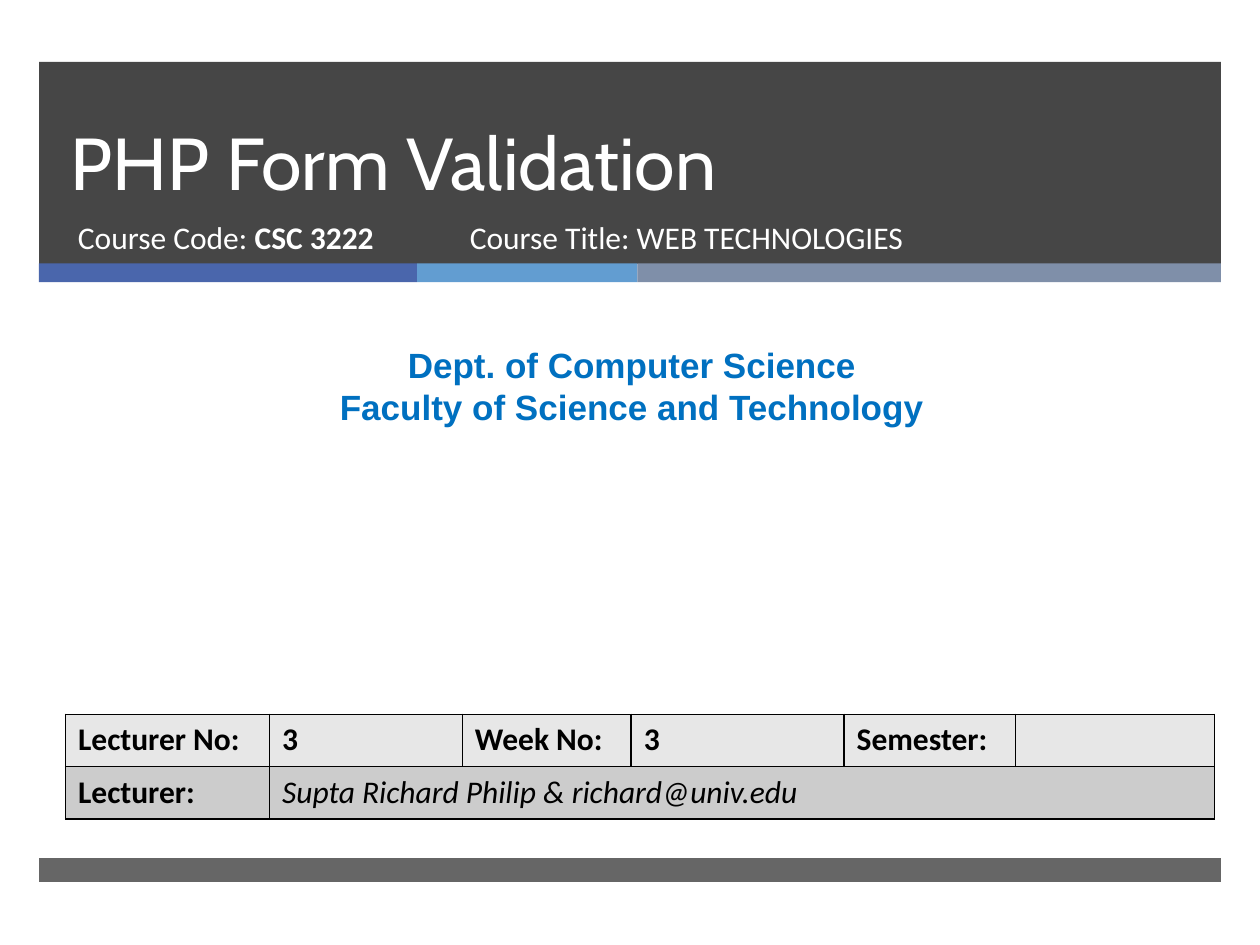
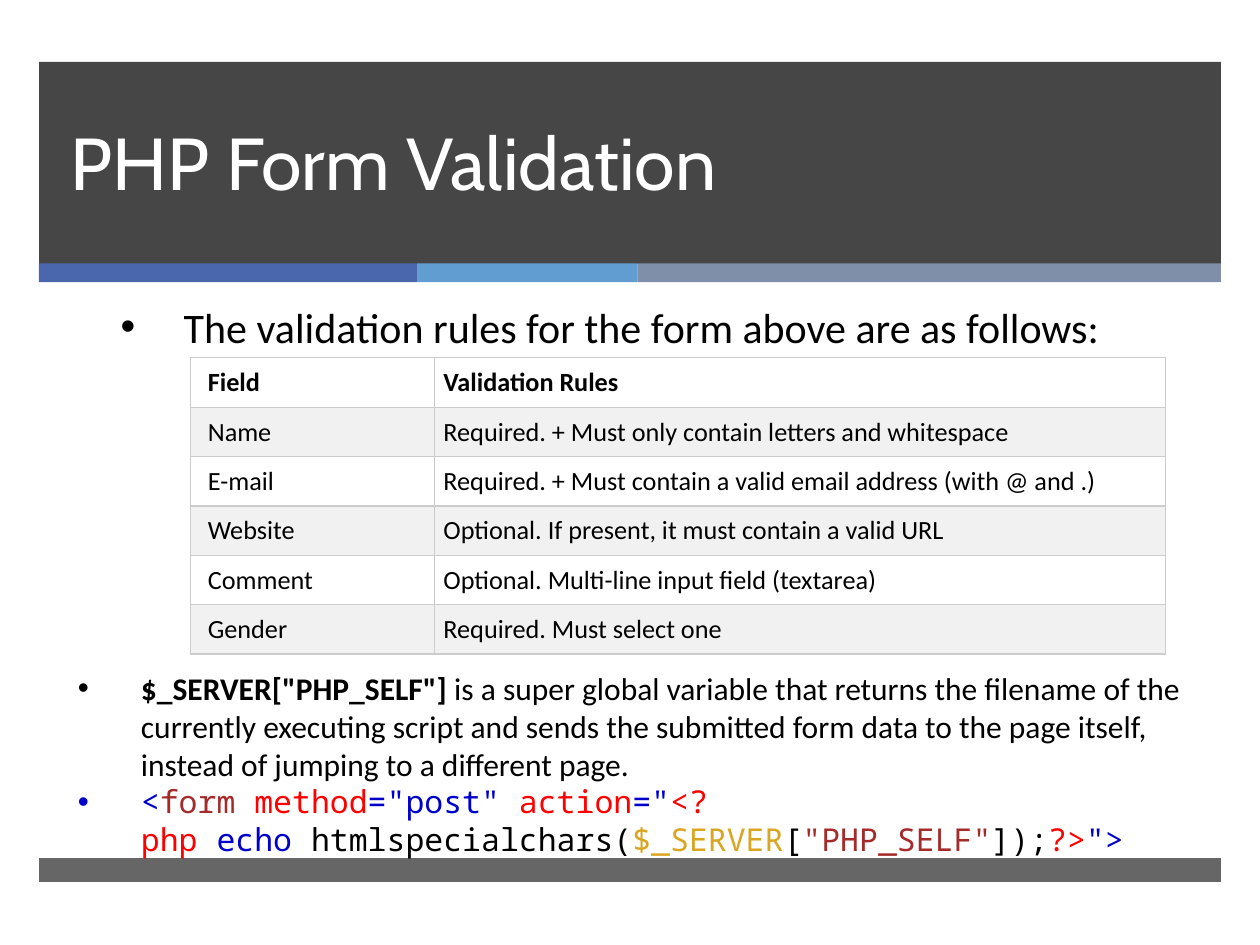
from pptx import Presentation
from pptx.dml.color import RGBColor
from pptx.enum.shapes import MSO_SHAPE
from pptx.enum.text import MSO_ANCHOR, PP_ALIGN
from pptx.oxml.ns import qn
from pptx.util import Inches, Pt
from lxml.etree import SubElement

COLORS = {
    "band": "262626", "blue": "4A66AC", "sky": "629DD1", "slate": "7F8FA9",
    "white": "FFFFFF", "black": "000000", "heading": "0070C0",
    "light": "E7E7E7", "mid": "CCCCCC", "stripe": "F1F1F1",
    "markup": "0000CD", "tag": "A52A2A", "attribute": "FF0000", "variable": "DAA520",
}
BODY, CODE = "Calibri", "Noto Sans Mono"

deck = Presentation()
deck.slide_width, deck.slide_height = Inches(10), Inches(7.5)

# The grid has 100 columns and 75 rows
COLUMN, ROW = deck.slide_width / 100, deck.slide_height / 75


def place(left, top, width, height):
    return int(left * COLUMN), int(top * ROW), int(width * COLUMN), int(height * ROW)


def write(frame, paragraphs, size=18, font=BODY, color="black", bold=False,
          italic=False, align=PP_ALIGN.LEFT, bullet=False, spacing=None):
    """Fill a frame; a paragraph is a string or a list of (text, changes)."""
    frame.word_wrap = True
    for number, spans in enumerate(paragraphs):
        para = frame.add_paragraph() if number else frame.paragraphs[0]
        para.alignment = align
        if spacing:
            para.line_spacing = Pt(spacing)
        if bullet:
            properties = para._p.get_or_add_pPr()
            properties.set("marL", str(int(5 * COLUMN)))
            properties.set("indent", str(int(-5 * COLUMN)))
            SubElement(properties, qn("a:buFont"), typeface="Arial")
            SubElement(properties, qn("a:buChar"), char="•")
        for text, changes in [(spans, {})] if isinstance(spans, str) else spans:
            span = para.add_run()
            span.text = text
            span.font.size = Pt(size)
            span.font.name = changes.get("font", font)
            span.font.bold = changes.get("bold", bold)
            span.font.italic = italic
            span.font.color.rgb = RGBColor.from_string(COLORS[changes.get("color", color)])


# Shared frame: left, width, top, height, colour, opacity in percent
BANDS = [
    (3.1, 93.8, 4.9, 16.05, "band", 85),
    (3.1, 30, 20.9, 1.5, "blue", 100),
    (33.1, 17.5, 20.9, 1.5, "sky", 100),
    (50.6, 46.3, 20.9, 1.5, "slate", 100),
    (3.1, 93.8, 68.1, 1.9, "band", 70),
]
for number in range(2):
    page = deck.slides.add_slide(deck.slide_layouts[5])
    for left, width, top, height, color, opacity in BANDS:
        band = page.shapes.add_shape(MSO_SHAPE.RECTANGLE, *place(left, top, width, height))
        band.shadow.inherit = False
        band.line.fill.background()
        band.fill.solid()
        band.fill.fore_color.rgb = RGBColor.from_string(COLORS[color])
        if opacity < 100:
            SubElement(band.element.spPr.find(".//" + qn("a:srgbClr")),
                       qn("a:alpha"), val=str(opacity * 1000))

    # The title lies in front of the band
    title = page.shapes.title
    title.element.getparent().append(title.element)
    title.left, title.top, title.width, title.height = place(4.6, 4.9, 85.4, 11.9)
    title.text_frame.vertical_anchor = MSO_ANCHOR.BOTTOM
    write(title.text_frame, ["PHP Form Validation"], size=42, font="Cabin",
          color="white", spacing=46)
cover, rules = deck.slides

# Text boxes
code = [(text, {"font": CODE, "color": color}) for text, color in [
    ("<", "markup"), ("form", "tag"), ("\u00a0method", "attribute"),
    ('="post"', "markup"), ("\u00a0action", "attribute"), ('="', "markup"),
    ("<?php\u00a0", "attribute"), ("echo\u00a0", "markup"),
    ("htmlspecialchars(", "black"), ("$_SERVER", "variable"), ("[", "black"),
    ('"PHP_SELF"', "tag"), ("]);", "black"), ("?>", "attribute"), ('">', "markup"),
]]
self_variable = [
    ('$_SERVER["PHP_SELF"] ', {"bold": True}),
    ("is a super global variable that returns the filename of the currently "
     "executing script and sends the submitted form data to the page itself, "
     "instead of jumping to a different page.", {}),
]
TEXTS = [
    (cover, (5.2, 16.8, 30.5, 5.3),
     [[("Course Code: ", {}), ("CSC 3222", {"bold": True})]], {"color": "white"}),
    (cover, (36.3, 16.8, 45.5, 5.3),
     ["Course Title: WEB TECHNOLOGIES"], {"color": "white"}),
    (cover, (0.8, 26.8, 98.7, 7.7),
     ["Dept. of Computer Science", "Faculty of Science and Technology"],
     {"size": 20, "font": "Arial", "color": "heading", "bold": True,
      "align": PP_ALIGN.CENTER}),
    (rules, (8.6, 23.4, 86.6, 5),
     ["The validation rules for the form above are as follows:"],
     {"size": 24, "bullet": True}),
    (rules, (5.2, 52.6, 92.9, 16.2), [self_variable, code], {"bullet": True}),
]
for page, area, paragraphs, style in TEXTS:
    box = page.shapes.add_textbox(*place(*area))
    write(box.text_frame, paragraphs, **style)

# Tables
lecture = [
    ["Lecturer No:", "3", "Week No:", "3", "Semester:", ""],
    ["Lecturer:", "Supta Richard Philip & richard@univ.edu", "", "", "", ""],
]
fields = [
    ["Field", "Validation Rules"],
    ["Name", "Required. + Must only contain letters and whitespace"],
    ["E-mail", "Required. + Must contain a valid email address (with @ and .)"],
    ["Website", "Optional. If present, it must contain a valid URL"],
    ["Comment", "Optional. Multi-line input field (textarea)"],
    ["Gender", "Required. Must select one"],
]
# Page, left, top, column widths, row height, texts, row fills, border, size
TABLES = [
    (cover, 5.2, 56.7, [16.2, 15.3, 13.4, 16.9, 13.6, 15.8], 4.15, lecture,
     ["light", "mid"], ("black", 1), 18),
    (rules, 15.1, 28.4, [19.4, 58], 3.92, fields,
     ["white", "stripe"], ("mid", 0.75), 15),
]
for page, left, top, widths, height, texts, fills, border, size in TABLES:
    area = place(left, top, sum(widths), height * len(texts))
    table = page.shapes.add_table(len(texts), len(widths), *area).table
    for column, width in zip(table.columns, widths):
        column.width = int(width * COLUMN)
    for row_number, row in enumerate(texts):
        table.rows[row_number].height = int(height * ROW)
        for column_number, text in enumerate(row):
            cell = table.cell(row_number, column_number)
            cell.fill.solid()
            cell.fill.fore_color.rgb = RGBColor.from_string(COLORS[fills[row_number % 2]])
            if page is rules:
                cell.margin_left = int((0.7 if column_number else 1.4) * COLUMN)
                cell.margin_right = int(0.7 * COLUMN)
                cell.margin_top = cell.margin_bottom = int(0.7 * ROW)
            contact = page is cover and row_number == 1 and column_number == 1
            if text:
                write(cell.text_frame, [text], size=size, italic=contact,
                      bold=not contact and (page is cover or row_number == 0))
            # Border lines come before the fill in the cell's properties
            properties = cell._tc.get_or_add_tcPr()
            for index, side in enumerate(["lnL", "lnR", "lnT", "lnB"]):
                line = SubElement(properties, qn("a:" + side), w=str(Pt(border[1])))
                solid = SubElement(line, qn("a:solidFill"))
                SubElement(solid, qn("a:srgbClr"), val=COLORS[border[0]])
                properties.insert(index, line)
    if page is cover:
        table.cell(1, 1).merge(table.cell(1, 5))

deck.save("out.pptx")
